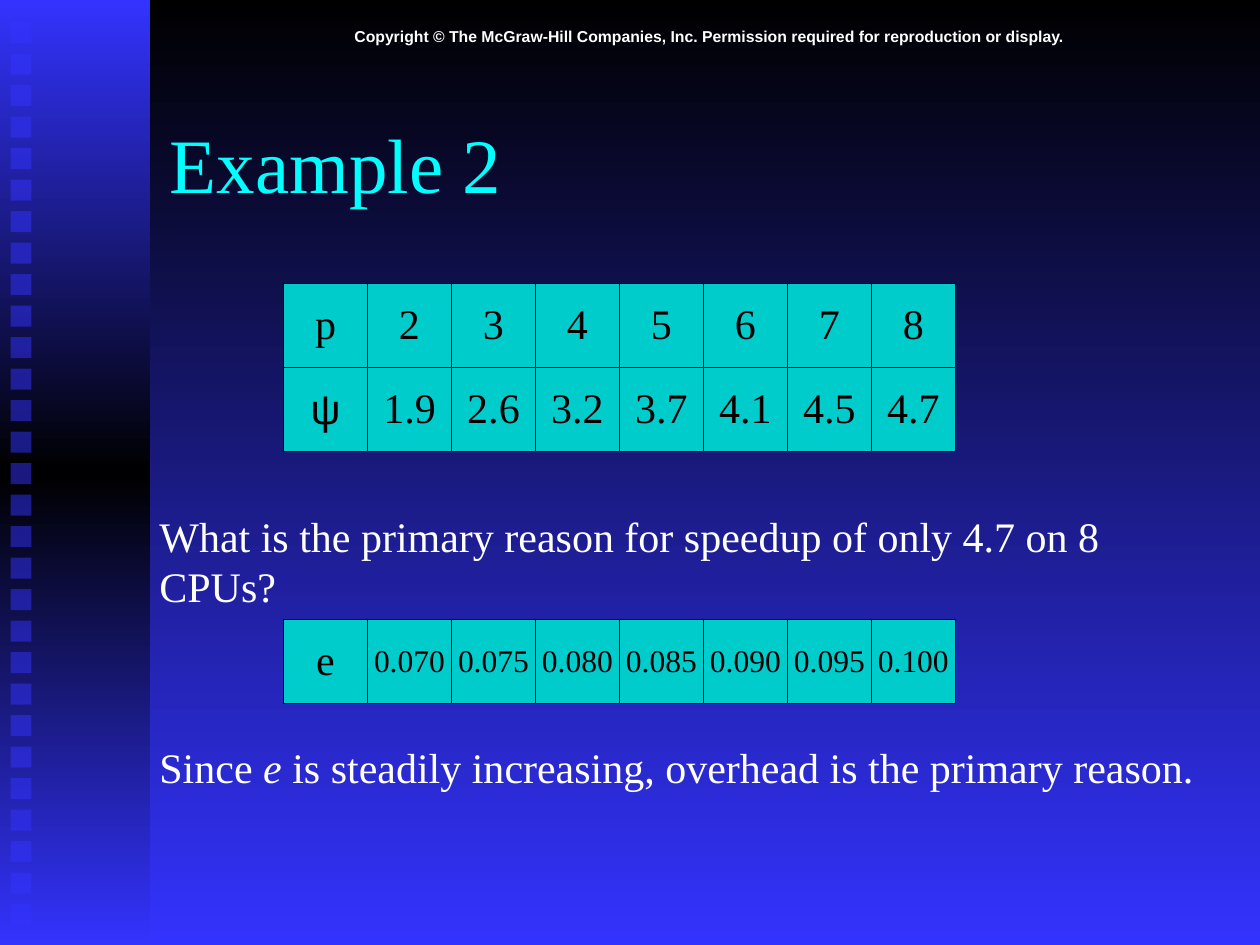
from dataclasses import dataclass

from lxml.etree import SubElement
from pptx import Presentation
from pptx.dml.color import RGBColor
from pptx.enum.shapes import MSO_SHAPE
from pptx.enum.text import MSO_ANCHOR, MSO_AUTO_SIZE, PP_ALIGN
from pptx.oxml.ns import qn
from pptx.util import Emu, Pt

EMU_PER_PX = 7620  # 120 px to the inch
WIDTH, HEIGHT = 1200, 900
CELL = 80
TABLE_LEFT = 270
SERIF, SANS = "Times New Roman", "Arial"
BLUE, BLACK, WHITE, CYAN, TEAL = "3333FF", "000000", "FFFFFF", "00FFFF", "00CCCC"


@dataclass
class Label:
    """A text box; each run is a (text, italic) pair."""
    x: int
    y: int
    w: int
    h: int
    runs: list[tuple[str, bool]]
    size: int = 24
    color: str = WHITE
    font: str = SERIF
    bold: bool = False
    align: PP_ALIGN = PP_ALIGN.LEFT
    wrap: bool = False
    fit: bool = True


@dataclass
class Row:
    symbol: str
    values: list[str]
    symbol_font: str = SERIF
    value_size: int = 24


@dataclass
class Grid:
    y: int
    rows: list[Row]


LABELS = [
    Label(150, 20, 1050, 30,
          [("Copyright © The McGraw-Hill Companies, Inc. "
            "Permission required for reproduction or display.", False)],
          size=9, font=SANS, bold=True, align=PP_ALIGN.CENTER, wrap=True),
    Label(150, 80, 1020, 150, [("Example 2", False)],
          size=44, color=CYAN, wrap=True, fit=False),
    Label(140, 480, 1040, 60,
          [("What is the primary reason for speedup of only 4.7 on 8 CPUs?", False)]),
    Label(140, 700, 1009, 60,
          [("Since ", False), ("e", True),
           (" is steadily increasing, overhead is the primary reason.", False)]),
]

GRIDS = [
    Grid(270, [
        Row("p", ["2", "3", "4", "5", "6", "7", "8"]),
        Row("ψ", ["1.9", "2.6", "3.2", "3.7", "4.1", "4.5", "4.7"], symbol_font=SANS),
    ]),
    Grid(590, [
        Row("e", ["0.070", "0.075", "0.080", "0.085", "0.090", "0.095", "0.100"],
            value_size=18),
    ]),
]


def px(n: int) -> Emu:
    return Emu(n * EMU_PER_PX)


def rgb(color: str) -> RGBColor:
    return RGBColor.from_string(color)


def set_font(font, name: str, size: int, color: str) -> None:
    font.name = name
    font.size = Pt(size)
    font.color.rgb = rgb(color)


def fill_gradient(fill, owner, colors: list[str]) -> None:
    """Fill from top to bottom with evenly spaced colours."""
    fill.gradient()
    fill.gradient_angle = 270
    stops = owner.xpath(".//a:gsLst")[0]
    for stop in list(stops):
        stops.remove(stop)
    for i, color in enumerate(colors):
        stop = SubElement(stops, qn("a:gs"), pos=str(100000 * i // (len(colors) - 1)))
        SubElement(stop, qn("a:srgbClr"), val=color)


def add_rect(s, x: int, y: int, w: int, h: int):
    sp = s.shapes.add_shape(MSO_SHAPE.RECTANGLE, px(x), px(y), px(w), px(h))
    sp.shadow.inherit = False
    sp.line.fill.background()
    return sp


def add_side_band(s) -> None:
    band = add_rect(s, 0, 0, 143, HEIGHT)
    fill_gradient(band.fill, band.element, [BLUE, BLACK, BLUE])
    for i in range(29):
        square = add_rect(s, 10, 21 + 30 * i, 20, 20)
        square.fill.solid()
        square.fill.fore_color.rgb = rgb(BLUE)
        color = square.element.spPr.find(qn("a:solidFill"))[0]
        SubElement(color, qn("a:alpha"), val="50000")


def add_label(s, label: Label) -> None:
    box = s.shapes.add_textbox(px(label.x), px(label.y), px(label.w), px(label.h))
    tf = box.text_frame
    tf.word_wrap = label.wrap
    tf.auto_size = MSO_AUTO_SIZE.SHAPE_TO_FIT_TEXT if label.fit else MSO_AUTO_SIZE.NONE
    tf.vertical_anchor = MSO_ANCHOR.TOP if label.fit else MSO_ANCHOR.MIDDLE
    p = tf.paragraphs[0]
    p.alignment = label.align
    for text, italic in label.runs:
        r = p.add_run()
        r.text = text
        set_font(r.font, label.font, label.size, label.color)
        r.font.bold = label.bold
        r.font.italic = italic


def add_borders(cell) -> None:
    props = cell._tc.get_or_add_tcPr()
    for side in ("lnL", "lnR", "lnT", "lnB"):
        line = SubElement(props, qn(f"a:{side}"), w=str(Pt(0.75)))
        solid = SubElement(line, qn("a:solidFill"))
        SubElement(solid, qn("a:srgbClr"), val=BLACK)


def format_cell(cell, text: str, font: str, size: int) -> None:
    add_borders(cell)
    cell.fill.solid()
    cell.fill.fore_color.rgb = rgb(TEAL)
    cell.margin_left = cell.margin_right = 0
    cell.vertical_anchor = MSO_ANCHOR.MIDDLE
    cell.text = text
    p = cell.text_frame.paragraphs[0]
    p.alignment = PP_ALIGN.CENTER
    set_font(p.runs[0].font, font, size, BLACK)


def add_grid(s, grid: Grid) -> None:
    columns = 1 + len(grid.rows[0].values)
    frame = s.shapes.add_table(len(grid.rows), columns, px(TABLE_LEFT), px(grid.y),
                               px(CELL * columns), px(CELL * len(grid.rows)))
    table = frame.table
    table.first_row = table.horz_banding = False
    for i, row in enumerate(grid.rows):
        format_cell(table.cell(i, 0), row.symbol, row.symbol_font, 24)
        for j, value in enumerate(row.values, start=1):
            format_cell(table.cell(i, j), value, SERIF, row.value_size)


def main() -> None:
    prs = Presentation()
    prs.slide_width, prs.slide_height = px(WIDTH), px(HEIGHT)
    s = prs.slides.add_slide(prs.slide_layouts[6])
    fill_gradient(s.background.fill, s.element, [BLACK, BLUE])
    add_side_band(s)
    for label in LABELS:
        add_label(s, label)
    for grid in GRIDS:
        add_grid(s, grid)
    prs.save("out.pptx")


if __name__ == "__main__":
    main()
